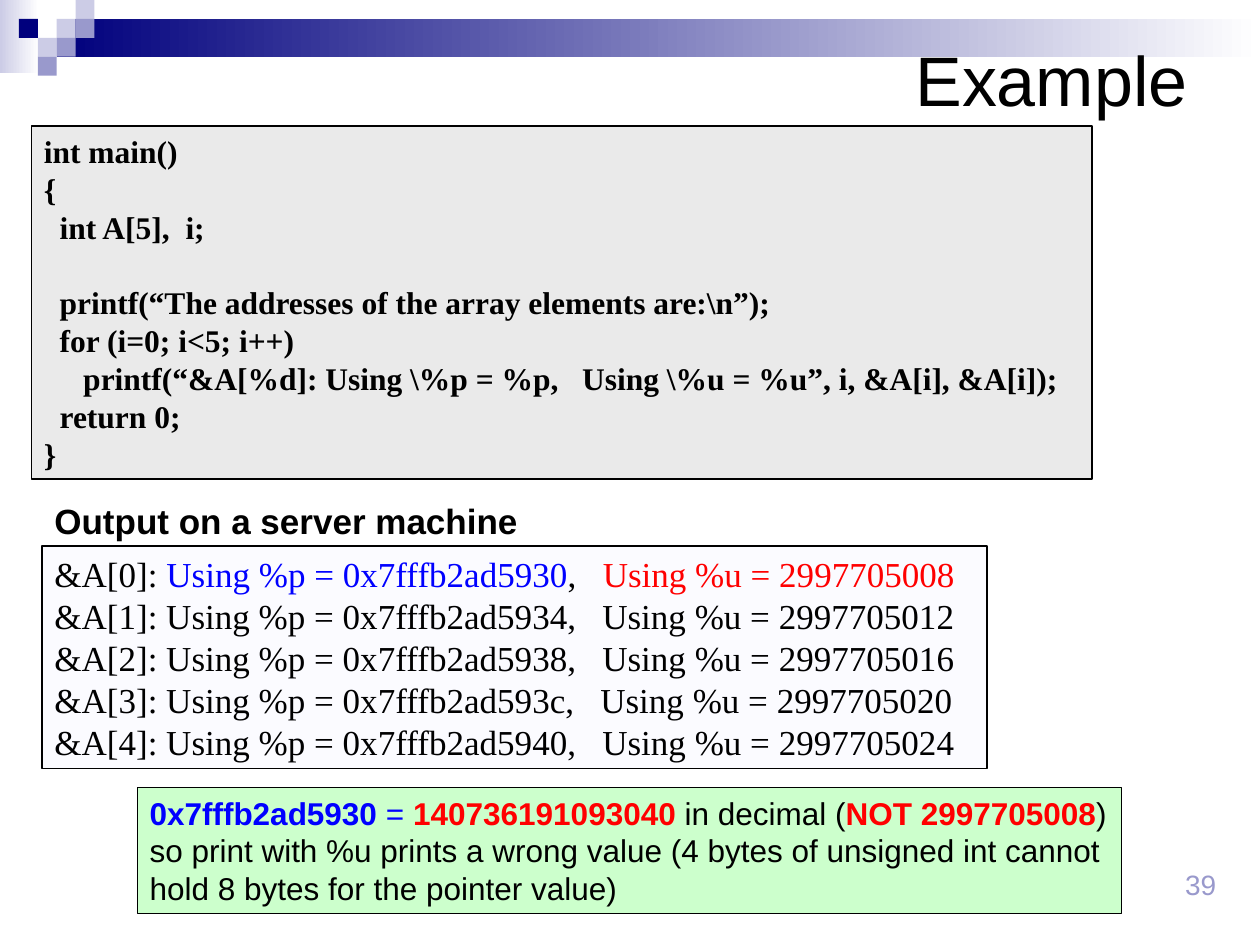
from pptx import Presentation
from pptx.dml.color import RGBColor
from pptx.enum import shapes, text
from pptx.util import Pt

BLACK = RGBColor(0, 0, 0)
WHITE = RGBColor(255, 255, 255)
BLUE = RGBColor(0, 0, 255)
RED = RGBColor(255, 0, 0)
NAVY = RGBColor(0, 0, 0x7D)
LAVENDER = RGBColor(0xCC, 0xCC, 0xE6)
PERIWINKLE = RGBColor(0x99, 0x99, 0xCC)
GREY = RGBColor(0xEA, 0xEA, 0xEA)
PALE_BLUE = RGBColor(0xFB, 0xFB, 0xFF)
PALE_GREEN = RGBColor(0xCC, 0xFF, 0xCC)

SERIF = "Times New Roman"
SANS = "Arial"
TILE = 10.8
LEADING = 1.2


def add_block(page, box, color, end_color=None):
    """Add a borderless rectangle, fading to the right if given an end colour."""
    block = page.shapes.add_shape(shapes.MSO_SHAPE.RECTANGLE, *map(Pt, box))
    block.shadow.inherit = False
    block.line.fill.background()
    if end_color is None:
        block.fill.solid()
        block.fill.fore_color.rgb = color
    else:
        block.fill.gradient()
        block.fill.gradient_angle = 0
        for stop, shade, position in zip(block.fill.gradient_stops, (color, end_color), (0, 1)):
            stop.color.rgb = shade
            stop.position = position
    return block


def write_lines(shape, lines, size, font, bold=False):
    """Fill a shape with lines, each a list of (words, colour, bold) spans."""
    frame = shape.text_frame
    frame.word_wrap = True
    frame.vertical_anchor = text.MSO_ANCHOR.TOP
    frame.text = "\n".join("".join(words for words, *_ in line) for line in lines)
    for para, line in zip(frame.paragraphs, lines):
        para.text = ""
        para.alignment = text.PP_ALIGN.LEFT
        para.line_spacing = Pt(size * LEADING)
        for words, color, *weight in line:
            span = para.add_run()
            span.text = words
            span.font.name = font
            span.font.size = Pt(size)
            span.font.bold = weight[0] if weight else bold
            span.font.color.rgb = color
    return frame


def add_label(page, box, words, size, color=BLACK, bold=False):
    """Add a one-line text box."""
    label = page.shapes.add_textbox(*map(Pt, box))
    return write_lines(label, [[(words, color)]], size, SANS, bold)


def add_panel(page, box, fill, lines, size, font, line_width=1, bold=False):
    """Add a filled, outlined rectangle holding lines of text."""
    panel = add_block(page, box, fill)
    panel.line.color.rgb = BLACK
    panel.line.width = Pt(line_width)
    return write_lines(panel, lines, size, font, bold)


def add_banner(page, box):
    """Add the fading bar and the mosaic of tiles at the top left."""
    left, top, width, height = box
    add_block(page, (left, top, 22.3, 41.8), LAVENDER, WHITE)
    bar_left = left + 3 * TILE
    add_block(page, (bar_left, top + TILE, width - 3 * TILE, 2 * TILE), NAVY, WHITE)
    tiles = [(3, 1, LAVENDER), (4, 0, LAVENDER), (4, 1, PERIWINKLE), (2, 2, LAVENDER),
             (1, 1, NAVY), (3, 2, PERIWINKLE), (2, 3, PERIWINKLE)]
    for column, row, color in tiles:
        add_block(page, (left + column * TILE, top + row * TILE, TILE, TILE), color)


def add_code(page, box):
    """Add the program listing, indented by paragraph margins."""
    size = 18
    code = [
        (0, "int main()"),
        (0, "{"),
        (2, "int A[5],  i;"),
        (2, "printf(“The addresses of the array elements are:\\n”);"),
        (2, "for (i=0; i<5; i++)"),
        (5, "printf(“&A[%d]: Using \\%p = %p,   Using \\%u = %u”, i, &A[i], &A[i]);"),
        (2, "return 0;"),
        (0, "}"),
    ]
    lines = [[(words, BLACK)] for _, words in code]
    frame = add_panel(page, box, GREY, lines, size, SERIF, bold=True)
    for para, (indent, _) in zip(frame.paragraphs, code):
        para._p.get_or_add_pPr().set("marL", str(Pt(indent * size / 4)))
    frame.paragraphs[3].space_before = Pt(size * LEADING)


def add_output(page, box):
    """Add the printed addresses, with the first one highlighted."""
    lines = []
    for index in range(5):
        pointer_color, number_color = (BLUE, RED) if index == 0 else (BLACK, BLACK)
        lines.append([
            (f"&A[{index}]: ", BLACK),
            (f"Using %p = 0x{0x7fffb2ad5930 + 4 * index:x}", pointer_color),
            (",   ", BLACK),
            (f"Using %u = {2997705008 + 4 * index}", number_color),
        ])
    add_panel(page, box, PALE_BLUE, lines, 20, SERIF)


def add_note(page, box):
    """Add the explanation of the wrong value."""
    lines = [
        [("0x7fffb2ad5930", BLUE, True), (" = ", BLUE), ("140736191093040", RED, True),
         (" in decimal (", BLACK), ("NOT 2997705008", RED, True), (")", BLACK)],
        [("so print with %u prints a wrong value (4 bytes of unsigned int cannot", BLACK)],
        [("hold 8 bytes for the pointer value)", BLACK)],
    ]
    frame = add_panel(page, box, PALE_GREEN, lines, 18, SANS, line_width=0.75)
    frame.word_wrap = False


def main():
    """Build the slide and save it."""
    deck = Presentation()
    deck.slide_width, deck.slide_height = Pt(720), Pt(540)
    page = deck.slides.add_slide(deck.slide_layouts[6])
    add_banner(page, (0, 0, 720, 43.2))
    number = add_label(page, (660, 492, 42, 36), "39", 16, PERIWINKLE)
    number.paragraphs[0].alignment = text.PP_ALIGN.RIGHT
    title = add_label(page, (516, 6, 204, 78), "Example", 40)
    title.vertical_anchor = text.MSO_ANCHOR.MIDDLE
    add_code(page, (18, 72, 606, 201.6))
    add_output(page, (24, 312, 540, 127.2))
    add_label(page, (24, 282, 288, 31.2), "Output on a server machine", 20, bold=True)
    add_note(page, (78.4, 450, 562.4, 72))
    deck.save("out.pptx")


if __name__ == "__main__":
    main()
